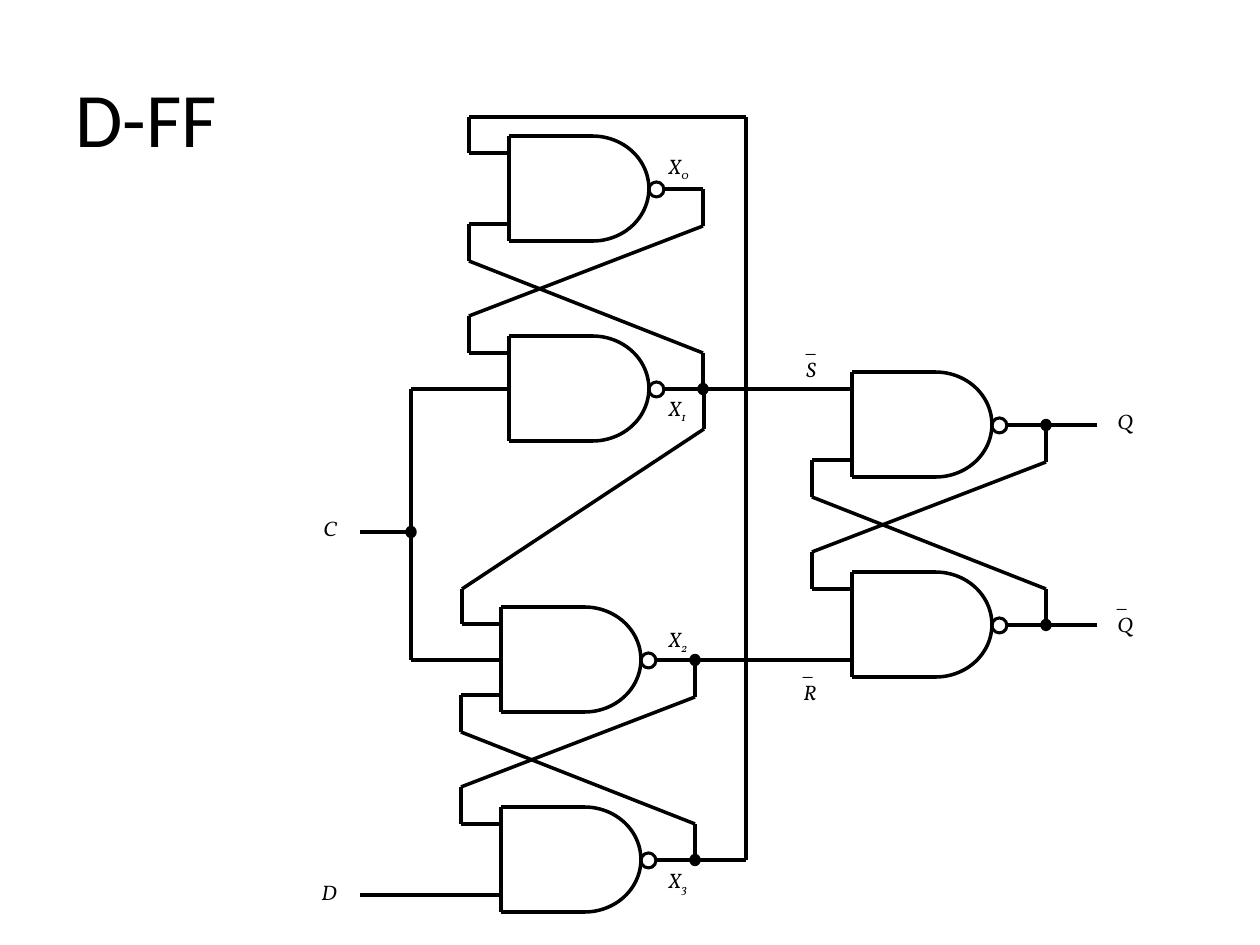
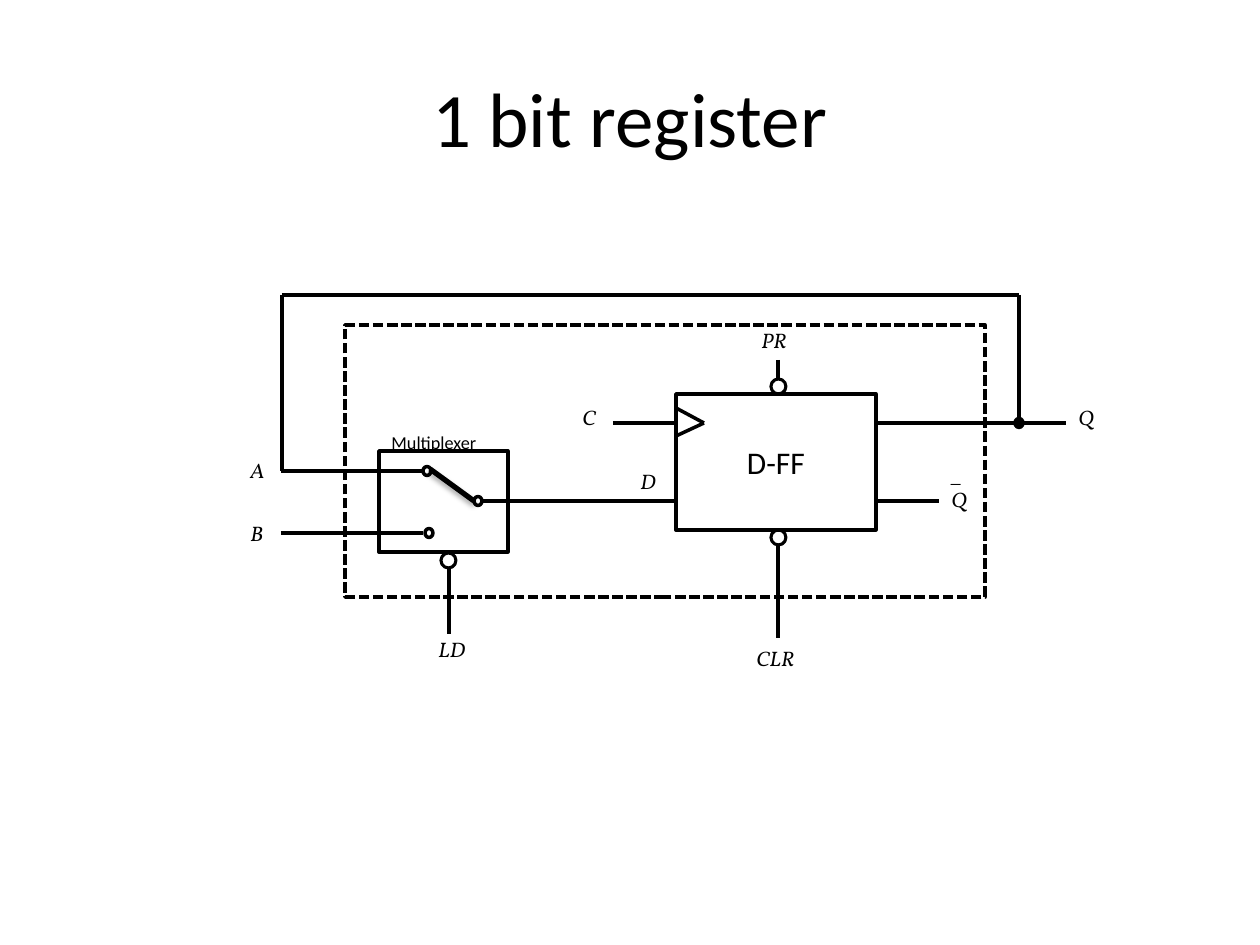
from itertools import pairwise

from lxml import etree
from pptx import Presentation
from pptx import util as u
from pptx.dml.color import RGBColor
from pptx.enum import dml, shapes, text
from pptx.oxml import ns

BLACK = RGBColor(0, 0, 0)
WHITE = RGBColor(255, 255, 255)
BODY_FONT, SIGNAL_FONT = "Calibri", "Vollkorn"
SCALE = 914400 / 126
GATE_H, BUBBLE, PAIR_STEP, MID, TAP = 105, 15, 200, 53, 194
SHAPE = shapes.MSO_SHAPE


def px(*lengths):
    """Turn pixels into EMU."""
    return [u.Emu(round(n * SCALE)) for n in lengths]


def outline(sh, kind, box, width=2, fill=None):
    """Add a preset shape with a black outline."""
    sp = sh.add_shape(kind, *px(*box))
    sp.shadow.inherit = False
    if fill is None:
        sp.fill.background()
    else:
        sp.fill.solid()
        sp.fill.fore_color.rgb = fill
    sp.line.color.rgb = BLACK
    sp.line.width = u.Pt(width)
    return sp


def wire(sh, *points, width=2):
    """Join the points with straight lines and return the last one."""
    for start, end in pairwise(points):
        line = sh.add_connector(shapes.MSO_CONNECTOR.STRAIGHT, *px(*start, *end))
        line.line.color.rgb = BLACK
        line.line.width = u.Pt(width)
        etree.SubElement(line._element.spPr, ns.qn("a:effectLst"))
    return line


def soft_shadow(line):
    """Give a line a blurred shadow below it."""
    effects = line._element.spPr.find(ns.qn("a:effectLst"))
    shadow = etree.SubElement(effects, ns.qn("a:outerShdw"), blurRad=str(u.Pt(3.1)),
                              dist=str(u.Pt(1.8)), dir="5400000", rotWithShape="0")
    color = etree.SubElement(shadow, ns.qn("a:srgbClr"), val=str(BLACK))
    etree.SubElement(color, ns.qn("a:alpha"), val="35000")


def dot(sh, x, y, fill=BLACK):
    """Add a small junction centred on a point."""
    outline(sh, SHAPE.OVAL, (x - 4, y - 4.5, 8, 9), fill=fill)


def bubble(sh, x, y):
    """Add an inversion bubble."""
    outline(sh, SHAPE.OVAL, (x, y, BUBBLE, BUBBLE), 1.75)


def add_run(p, words, size, font, italic=False, lowered=False):
    """Add a run of black text."""
    r = p.add_run()
    r.text = words
    r.font.size, r.font.name, r.font.italic = u.Pt(size), font, italic
    r.font.color.rgb = BLACK
    if lowered:
        r.font._element.set("baseline", "-25000")


def text_box(sh, x, y, w, h):
    """Add a text frame that fits one unwrapped label."""
    tf = sh.add_textbox(*px(x, y, w, h)).text_frame
    tf.word_wrap = False
    tf.auto_size = text.MSO_AUTO_SIZE.SHAPE_TO_FIT_TEXT
    return tf


def signal(sh, name, x, y, w=46, index="", barred=False):
    """Label a signal, with an index or a bar above it."""
    tf = text_box(sh, x, y, w, 63 if barred else 38)
    p = tf.paragraphs[0]
    if barred:
        add_run(p, "_", 12, SIGNAL_FONT, True)
        p = tf.add_paragraph()
    add_run(p, name, 12, SIGNAL_FONT, True)
    if index:
        add_run(p, index, 12, SIGNAL_FONT, True, True)


def title(sh, words, align):
    """Add the slide title."""
    tf = sh.add_textbox(*px(63, 38, 1134, 157)).text_frame
    tf.word_wrap = True
    tf.vertical_anchor = text.MSO_ANCHOR.MIDDLE
    tf.paragraphs[0].alignment = align
    add_run(tf.paragraphs[0], words, 44, BODY_FONT)


def nand(s, x, y):
    """Draw a NAND gate whose flat side starts at x, y."""
    sh = s.shapes.add_group_shape().shapes
    arc = outline(sh, SHAPE.ARC, (x + 27, y, 113, GATE_H))
    arc.adjustments[0], arc.adjustments[1] = 162, 54.402
    wire(sh, (x + 84, y), (x, y), (x, y + GATE_H), (x + 84, y + GATE_H))
    bubble(sh, x + 140, y + 46)


def latch(s, x, y, *ends):
    """Draw two cross-coupled gates with outputs running to the given ends."""
    sh = s.shapes
    left, tap, low = x - 40, x + TAP, y + PAIR_STEP
    for top, end in zip((y, low), ends):
        nand(s, x, top)
        wire(sh, (x + 155, top + MID), (end, top + MID))
        if end > tap:
            dot(sh, tap, top + MID)
    wire(sh, (x, y + 88), (left, y + 88), (left, y + 125),
         (tap, low + 17), (tap, low + MID))
    wire(sh, (tap, y + MID), (tap, y + 90), (left, low - 20),
         (left, low + 17), (x, low + 17))


def flip_flop_slide(prs):
    """Build the gate diagram of the D flip-flop."""
    s = prs.slides.add_slide(prs.slide_layouts[6])
    sh = s.shapes
    title(sh, "D-FF", text.PP_ALIGN.LEFT)
    latch(s, 509, 136, 509 + TAP, 852)
    latch(s, 501, 607, 852, 746)
    latch(s, 852, 372, 1097, 1097)
    wire(sh, (509, 153), (469, 153), (469, 117), (746, 117), (746, 860))
    wire(sh, (704, 389), (704, 429), (462, 589), (462, 624), (501, 624))
    wire(sh, (509, 389), (411, 389), (411, 660), (501, 660))
    wire(sh, (360, 532), (411, 532))
    dot(sh, 411, 532)
    wire(sh, (360, 895), (501, 895))
    for i, y in enumerate((147, 389, 620, 861)):
        signal(sh, "X", 656, y, 52, index=str(i))
    signal(sh, "C", 311, 509)
    signal(sh, "D", 309, 873)
    signal(sh, "Q", 1105, 402)
    signal(sh, "Q", 1105, 580, barred=True)
    signal(sh, "S", 794, 325, 42, barred=True)
    signal(sh, "R", 791, 648, 44, barred=True)


def multiplexer(sh, x, y, w, h):
    """Draw the input selector with its inputs and load line."""
    outline(sh, SHAPE.RECTANGLE, (x, y, w, h))
    add_run(text_box(sh, x, y - 47, 125, 38).paragraphs[0],
            "Multiplexer", 18, BODY_FONT, lowered=True)
    for name, row, label in (("A", 20, 0), ("B", 82, 63)):
        wire(sh, (x - 98, y + row), (x + 44, y + row))
        signal(sh, name, x - 141, y + label)
    for across, down in ((48, 20), (50, 82), (99, 50)):
        dot(sh, x + across, y + down, WHITE)
    soft_shadow(wire(sh, (x + 51, y + 18), (x + 95, y + 50), width=3))
    bubble(sh, x + 62, y + h + 1)
    wire(sh, (x + 70, y + h + 16), (x + 70, y + h + 82))
    signal(sh, "LD", x + 47, y + h + 78, 58)


def flip_flop(sh, x, y, w, h):
    """Draw the flip-flop block with its pins."""
    block = outline(sh, SHAPE.RECTANGLE, (x, y, w, h))
    tf = block.text_frame
    tf.vertical_anchor = text.MSO_ANCHOR.MIDDLE
    tf.paragraphs[0].alignment = text.PP_ALIGN.CENTER
    add_run(tf.paragraphs[0], "D-FF", 18, BODY_FONT)
    clock, data, pin = y + 29, y + 107, x + 102
    wire(sh, (x, clock - 15), (x + 28, clock), (x, clock + 13))
    wire(sh, (x - 63, clock), (x, clock))
    wire(sh, (x - 194, data), (x, data))
    wire(sh, (x + w, clock), (x + w + 190, clock))
    wire(sh, (x + w, data), (x + w + 63, data))
    bubble(sh, pin - 7, y - BUBBLE)
    bubble(sh, pin - 7, y + h)
    wire(sh, (pin, y - 34), (pin, y - BUBBLE))
    wire(sh, (pin, y + h + BUBBLE), (pin, y + h + 108))
    signal(sh, "PR", x + 73, y - 73, 57)
    signal(sh, "CLR", x + 68, y + h + 109, 69)
    signal(sh, "C", x - 106, y + 4)
    signal(sh, "D", x - 48, y + 68)
    signal(sh, "Q", x + w + 190, y + 4)
    signal(sh, "Q", x + w + 63, y + 61, barred=True)


def register_slide(prs):
    """Build the block diagram of the one-bit register."""
    s = prs.slides.add_slide(prs.slide_layouts[6])
    sh = s.shapes
    title(sh, "1 bit register", text.PP_ALIGN.CENTER)
    flip_flop(sh, 676, 394, 200, 136)
    multiplexer(sh, 379, 451, 129, 101)
    frame = outline(sh, SHAPE.RECTANGLE, (345, 325, 640, 272))
    frame.line.dash_style = dml.MSO_LINE.SQUARE_DOT
    wire(sh, (282, 471), (282, 295), (1019, 295), (1019, 423))
    dot(sh, 1019, 423)


prs = Presentation()
prs.slide_width, prs.slide_height = px(1260, 945)
flip_flop_slide(prs)
register_slide(prs)
prs.save("out.pptx")
